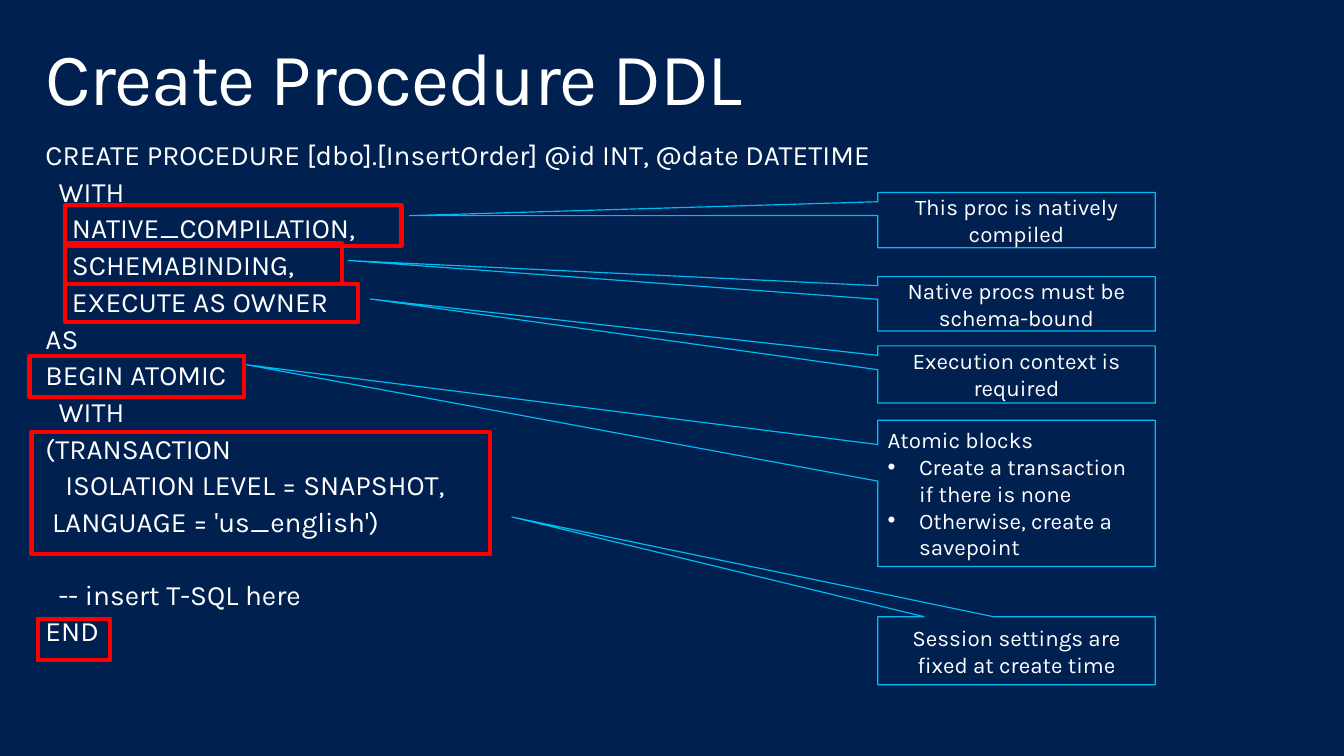
from lxml.etree import SubElement
from pptx import Presentation
from pptx.dml.color import RGBColor
from pptx.enum.shapes import MSO_SHAPE
from pptx.enum.text import MSO_ANCHOR, PP_ALIGN
from pptx.oxml.ns import qn
from pptx.util import Cm, Pt

NAVY, WHITE, CYAN, RED = "002050", "FFFFFF", "00BCF2", "FF0000"


def paint(color_format, hex_color):
    color_format.rgb = RGBColor.from_string(hex_color)


def write(frame, lines, size, paragraph_format):
    """Fill a text frame with (indent in cm, text) lines in one style."""
    frame.word_wrap = True
    for number, (indent, text) in enumerate(lines):
        paragraph = frame.paragraphs[0] if number == 0 else frame.add_paragraph()
        for attribute, value in paragraph_format.items():
            setattr(paragraph, attribute, value)
        paragraph._p.get_or_add_pPr().set("marL", str(Cm(indent)))
        run = paragraph.add_run()
        run.text = text
        for attribute, value in {"name": "Karla", "size": Pt(size)}.items():
            setattr(run.font, attribute, value)
        paint(run.font.color, WHITE)


presentation = Presentation()
presentation.slide_width, presentation.slide_height = Cm(34.54), Cm(19.43)
slide = presentation.slides.add_slide(presentation.slide_layouts[6])
slide.background.fill.solid()
paint(slide.background.fill.fore_color, NAVY)

# Title and procedure code
code_lines = [
    (0, "CREATE PROCEDURE [dbo].[InsertOrder] @id INT, @date DATETIME"),
    (0.34, "WITH"),
    (0.68, "NATIVE_COMPILATION,"),
    (0.68, "SCHEMABINDING,"),
    (0.68, "EXECUTE AS OWNER"),
    (0, "AS"),
    (0, "BEGIN ATOMIC"),
    (0.34, "WITH"),
    (0, "(TRANSACTION"),
    (0.51, "ISOLATION LEVEL = SNAPSHOT,"),
    (0.17, "LANGUAGE = 'us_english')"),
    (0.34, "-- insert T-SQL here"),
    (0, "END"),
]
margins = {"margin_left": Cm(0.41), "margin_right": Cm(0.41),
           "margin_top": Cm(0.25), "margin_bottom": Cm(0.25)}
frames = []
for top, height, lines, size, space_before in [
    (0.81, 2.54, [(0, "Create Procedure DDL")], 54, 0),
    (3.38, 15.24, code_lines, 20.4, 4.7),
]:
    frame = slide.shapes.add_textbox(Cm(0.76), Cm(top), Cm(33.02), Cm(height)).text_frame
    for attribute, value in margins.items():
        setattr(frame, attribute, value)
    write(frame, lines, size, {"line_spacing": 0.9, "space_before": Pt(space_before)})
    frames.append(frame)
title, code = frames
title.paragraphs[0].runs[0].font._element.set("spc", "-100")
code.paragraphs[-2].space_before = Pt(30.8)  # one line left open above the body

# Callouts: top, height, pointer tip (share of width and height), lines
centered = {"alignment": PP_ALIGN.CENTER}
callouts = [
    (4.95, 1.42, (-2.188, -0.082), [(0, "This proc is natively compiled")], centered),
    (7.11, 1.4, (-2.408, -0.796), [(0, "Native procs must be schema-bound")], centered),
    (8.89, 1.47, (-2.33, -1.32), [(0, "Execution context is required")], centered),
    (10.8, 3.76, (-2.776, -0.879), [
        (0, "Atomic blocks"),
        (0.81, "Create a transaction if there is none"),
        (0.81, "Otherwise, create a savepoint"),
    ], {"alignment": PP_ALIGN.LEFT}),
    (15.85, 1.75, (-1.819, -1.964),
     [(0, "Session settings are fixed at create time")], centered),
]
outlined = []
for top, height, tip, lines, paragraph_format in callouts:
    callout = slide.shapes.add_shape(
        MSO_SHAPE.RECTANGULAR_CALLOUT, Cm(22.56), Cm(top), Cm(7.13), Cm(height))
    callout.adjustments[0], callout.adjustments[1] = tip
    callout.text_frame.vertical_anchor = MSO_ANCHOR.MIDDLE
    write(callout.text_frame, lines, 16.3, paragraph_format)
    for paragraph in callout.text_frame.paragraphs[1:]:
        properties = paragraph._p.get_or_add_pPr()
        properties.set("indent", str(-Cm(0.81)))
        SubElement(properties, qn("a:buFont"), typeface="Arial")
        SubElement(properties, qn("a:buChar"), char="•")
    outlined.append((callout, CYAN, 0.85))

# Highlights around code parts: left, top, width, height
for highlight_box in [
    (1.68, 5.28, 8.64, 1.04),
    (1.68, 6.25, 7.11, 1.04),
    (1.68, 7.29, 7.52, 0.99),
    (0.76, 9.14, 5.51, 1.07),
    (0.81, 11.1, 11.79, 3.15),
    (0.97, 15.9, 1.85, 1.07),
]:
    highlight = slide.shapes.add_shape(MSO_SHAPE.RECTANGLE, *map(Cm, highlight_box))
    outlined.append((highlight, RED, 3))

for outline, color, width in outlined:
    outline.shadow.inherit = False
    outline.fill.background()
    paint(outline.line.color, color)
    outline.line.width = Pt(width)

presentation.save("out.pptx")
